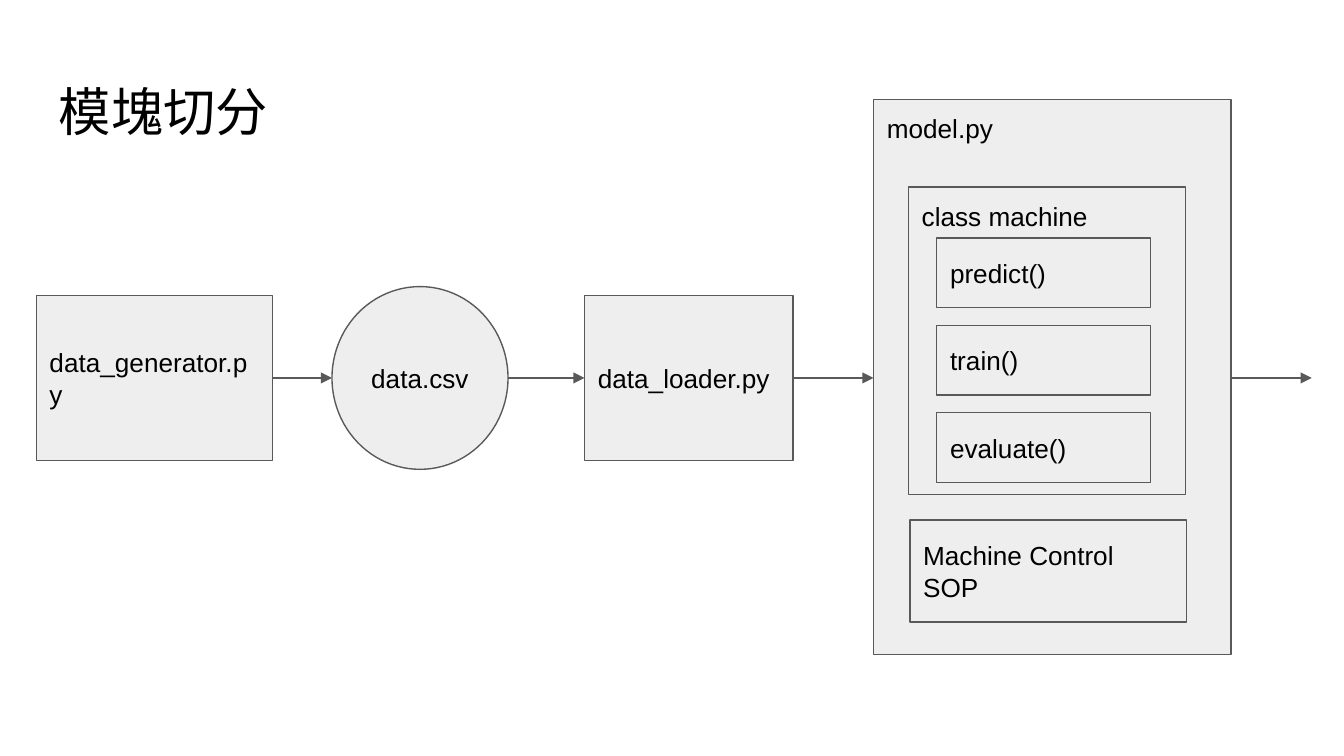
from lxml.etree import SubElement
from pptx import Presentation
from pptx.dml.color import RGBColor
from pptx.enum.shapes import MSO_CONNECTOR as Connector, MSO_SHAPE as Preset
from pptx.enum.text import MSO_ANCHOR as Anchor, PP_ALIGN as Align
from pptx.oxml.ns import qn
from pptx.util import Inches, Pt

WIDTH = 10
HEIGHT = WIDTH * 9 / 16
FONT = "Arial"
COLORS = {"fill": "EEEEEE", "line": "595959", "text": "000000"}

TITLE = ("模塊切分", (0.34, 0.49, 9.32, 0.63))
CONTAINERS = [
    ("model.py", (6.5, 0.74, 2.66, 4.13)),
    ("class machine", (6.76, 1.39, 2.06, 2.29)),
]
FLOW_AXIS = HEIGHT / 2
FLOW = [
    ("data_generator.py", Preset.RECTANGLE, 0.27, 1.76, 1.23),
    ("data.csv", Preset.OVAL, 2.47, 1.31, 1.36),
    ("data_loader.py", Preset.RECTANGLE, 4.35, 1.55, 1.23),
]
METHODS = ["predict()", "train()", "evaluate()"]
METHOD_BOX = (6.97, 1.77, 1.59, 0.52)
METHOD_PITCH = 0.65
CONTROL = ("Machine Control SOP", (6.77, 3.87, 2.06, 0.76))
OUTPUT_END = 9.76


def color(name):
    return RGBColor.from_string(COLORS[name])


def write(shape, text, size, anchor, align=Align.LEFT):
    frame = shape.text_frame
    frame.word_wrap = True
    frame.vertical_anchor = anchor
    frame.margin_left = frame.margin_right = Inches(0.1)
    frame.margin_top = frame.margin_bottom = Inches(0.1)
    paragraph = frame.paragraphs[0]
    paragraph.alignment = align
    run = paragraph.add_run()
    run.text = text
    run.font.name = FONT
    run.font.size = Pt(size)
    run.font.color.rgb = color("text")


def add_box(slide, text, place, preset=Preset.RECTANGLE, anchor=Anchor.MIDDLE):
    shape = slide.shapes.add_shape(preset, *map(Inches, place))
    shape.shadow.inherit = False
    shape.fill.solid()
    shape.fill.fore_color.rgb = color("fill")
    shape.line.color.rgb = color("line")
    shape.line.width = Pt(0.75)
    write(shape, text, 14, anchor, Align.CENTER if preset == Preset.OVAL else Align.LEFT)


def add_arrow(slide, start, end):
    y = Inches(FLOW_AXIS)
    arrow = slide.shapes.add_connector(Connector.STRAIGHT, Inches(start), y, Inches(end), y)
    arrow.line.color.rgb = color("line")
    arrow.line.width = Pt(0.75)
    SubElement(arrow.get_or_add_ln(), qn("a:tailEnd"), type="triangle")
    SubElement(arrow._element.spPr, qn("a:effectLst"))


def main():
    """Build the module breakdown slide and save it."""
    presentation = Presentation()
    presentation.slide_width, presentation.slide_height = Inches(WIDTH), Inches(HEIGHT)
    slide = presentation.slides.add_slide(presentation.slide_layouts[6])

    for text, place in CONTAINERS:
        add_box(slide, text, place, anchor=Anchor.TOP)

    title, place = TITLE
    write(slide.shapes.add_textbox(*map(Inches, place)), title, 28, Anchor.TOP)

    for text, preset, left, width, height in FLOW:
        add_box(slide, text, (left, FLOW_AXIS - height / 2, width, height), preset)

    left, top, width, height = METHOD_BOX
    for row, text in enumerate(METHODS):
        add_box(slide, text, (left, top + row * METHOD_PITCH, width, height))

    model_left, _, model_width, _ = CONTAINERS[0][1]
    spans = [(left, left + width) for _, _, left, width, _ in FLOW]
    spans.append((model_left, model_left + model_width))
    ends = [left for left, _ in spans[1:]] + [OUTPUT_END]
    for (_, start), end in zip(spans, ends):
        add_arrow(slide, start, end)

    add_box(slide, *CONTROL)
    presentation.save("out.pptx")


if __name__ == "__main__":
    main()
